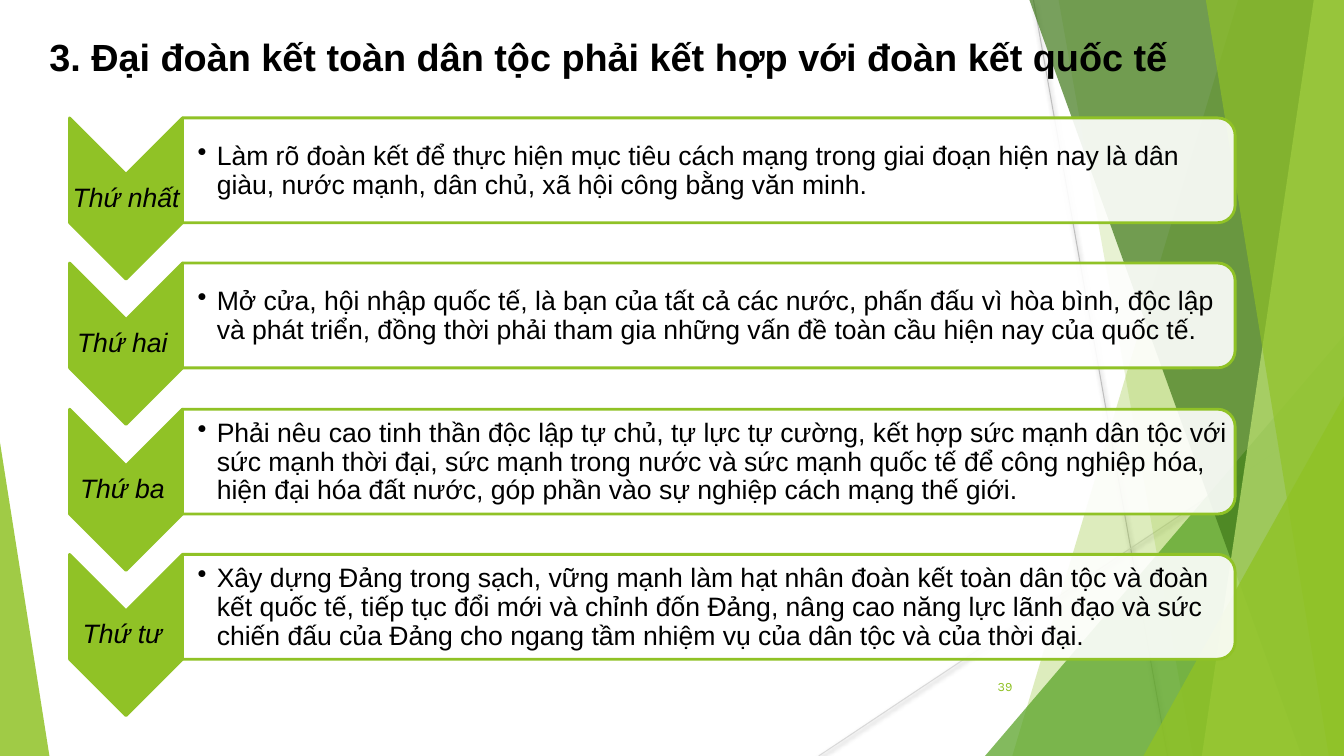
from lxml.etree import SubElement
from pptx import Presentation
from pptx.dml.color import RGBColor
from pptx.enum.shapes import MSO_CONNECTOR as Connector, MSO_SHAPE as Shape
from pptx.enum.text import MSO_ANCHOR as Anchor, PP_ALIGN as Align
from pptx.oxml.ns import qn
from pptx.util import Pt

PX = 9144
WIDTH, HEIGHT = 1333, 750
BLACK = RGBColor(0x00, 0x00, 0x00)
WHITE = RGBColor(0xFF, 0xFF, 0xFF)
LIME = RGBColor(0x90, 0xC2, 0x26)
GREEN = RGBColor(0x54, 0xA0, 0x21)
FOREST = RGBColor(0x3F, 0x78, 0x19)
PALE = RGBColor(0xC0, 0xE4, 0x74)
GRAY = RGBColor(0xBF, 0xBF, 0xBF)
SILVER = RGBColor(0xD9, 0xD9, 0xD9)

TITLE = "3. Đại đoàn kết toàn dân tộc phải kết hợp với đoàn kết quốc tế"
PAGE_NUMBER = "39"
STEPS = [
    ("Thứ nhất", "Làm rõ đoàn kết để thực hiện mục tiêu cách mạng trong giai đoạn hiện nay "
     "là dân giàu, nước mạnh, dân chủ, xã hội công bằng văn minh."),
    ("Thứ hai ", "Mở cửa, hội nhập quốc tế, là bạn của tất cả các nước, phấn đấu vì hòa bình, "
     "độc lập và phát triển, đồng thời phải tham gia những vấn đề toàn cầu hiện nay "
     "của quốc tế."),
    ("Thứ ba ", "Phải nêu cao tinh thần độc lập tự chủ, tự lực tự cường, kết hợp sức mạnh "
     "dân tộc với sức mạnh thời đại, sức mạnh trong nước và sức mạnh quốc tế để công nghiệp "
     "hóa, hiện đại hóa đất nước, góp phần vào sự nghiệp cách mạng thế giới."),
    ("Thứ tư ", "Xây dựng Đảng trong sạch, vững mạnh làm hạt nhân đoàn kết toàn dân tộc và "
     "đoàn kết quốc tế, tiếp tục đổi mới và chỉnh đốn Đảng, nâng cao năng lực lãnh đạo và sức "
     "chiến đấu của Đảng cho ngang tầm nhiệm vụ của dân tộc và của thời đại."),
]
STEPS_SPAN = 433

RAYS = [((1025, 0), (1158, 750), GRAY), ((1333, 403), (812, 750), SILVER)]
BANDS_BEHIND = [(1228, 1004, LIME, 30), (1050, 1183, LIME, 20)]
BANDS_FRONT = [(1021, 1291, FOREST, 70), (1303, 1192, PALE, 70), (1196, 1318, LIME, 65)]
WEDGE_BEHIND = (977, 333, 356, 417, 1, GREEN, 72)
WEDGES_FRONT = [(1134, 393, 199, 357, 1, LIME, 80), (0, 439, 49, 311, 0, LIME, 85)]


def scaled(*lengths):
    return [length * PX for length in lengths]


def paint(shape, color, opacity=100, outline=None):
    shape.shadow.inherit = False
    shape.fill.solid()
    shape.fill.fore_color.rgb = color
    if opacity < 100:
        tint = shape.fill._xPr.find(qn("a:solidFill"))[0]
        SubElement(tint, qn("a:alpha"), val=str(opacity * 1000))
    if outline is None:
        shape.line.fill.background()
    else:
        shape.line.color.rgb = outline
        shape.line.width = Pt(2)


def add_ray(shapes, start, end, color):
    ray = shapes.add_connector(Connector.STRAIGHT, *scaled(*start, *end))
    ray.line.color.rgb = color
    ray.line.width = Pt(0.75)
    effects = SubElement(ray._element.spPr, qn("a:effectLst"))
    shadow = SubElement(effects, qn("a:outerShdw"), blurRad="40000", dist="20000",
                        dir="5400000", rotWithShape="0")
    tint = SubElement(shadow, qn("a:srgbClr"), val="000000")
    SubElement(tint, qn("a:alpha"), val="38000")


def add_band(shapes, top_x, bottom_x, color, opacity):
    outline = shapes.build_freeform(top_x, 0, scale=PX)
    outline.add_line_segments([(WIDTH, 0), (WIDTH, HEIGHT), (bottom_x, HEIGHT)], close=True)
    paint(outline.convert_to_shape(), color, opacity)


def add_wedge(shapes, left, top, width, height, apex, color, opacity):
    wedge = shapes.add_shape(Shape.ISOSCELES_TRIANGLE, *scaled(left, top, width, height))
    wedge.adjustments[0] = apex
    paint(wedge, color, opacity)


def add_turned(shapes, preset, box, color, opacity=100):
    turned = shapes.add_shape(preset, *scaled(*box))
    turned.rotation = 90
    paint(turned, color, opacity, LIME)


def set_font(paragraph, name, size, color, bold=False, italic=False):
    font = paragraph.font
    font.name, font.size, font.color.rgb = name, Pt(size), color
    font.bold, font.italic = bold, italic


def add_words(shapes, text, box, insets):
    frame = shapes.add_textbox(*scaled(*box)).text_frame
    frame.word_wrap = True
    frame.vertical_anchor = Anchor.MIDDLE
    (frame.margin_left, frame.margin_top,
     frame.margin_right, frame.margin_bottom) = scaled(*insets)
    words = frame.paragraphs[0]
    words.text = text
    return words


def add_step(shapes, label, detail, shift):
    add_turned(shapes, Shape.CHEVRON, (45, 141 + shift, 160, 112), LIME)
    heading = add_words(shapes, label, (69, 173 + shift, 112, 48), (1, 1, 1, 1))
    heading.alignment = Align.CENTER
    heading.line_spacing = 0.9
    set_font(heading, "Arial", 19, BLACK, italic=True)

    add_turned(shapes, Shape.ROUND_2_SAME_RECTANGLE, (651, shift - 353, 104, 1044), WHITE, 90)
    body = add_words(shapes, detail, (181, 123 + shift, 1039, 94), (15, 1, 1, 1))
    body.line_spacing = 0.9
    layout = body._p.get_or_add_pPr()
    layout.set("marL", str(19 * PX))
    layout.set("indent", str(-19 * PX))
    SubElement(layout, qn("a:buChar"), char="•")
    set_font(body, "Arial", 19, BLACK)


def main():
    """Build the slide on national and international unity."""
    deck = Presentation()
    deck.slide_width, deck.slide_height = scaled(WIDTH, HEIGHT)
    slide = deck.slides.add_slide(deck.slide_layouts[5])
    shapes = slide.shapes

    for ray in RAYS:
        add_ray(shapes, *ray)
    for band in BANDS_BEHIND:
        add_band(shapes, *band)
    add_wedge(shapes, *WEDGE_BEHIND)
    for band in BANDS_FRONT:
        add_band(shapes, *band)
    for wedge in WEDGES_FRONT:
        add_wedge(shapes, *wedge)

    title = shapes.title
    title.element.getparent().append(title.element)
    title.left, title.top, title.width, title.height = scaled(39, 28, 1187, 72)
    title.text_frame.text = TITLE
    title.text_frame.vertical_anchor = Anchor.TOP
    heading = title.text_frame.paragraphs[0]
    heading.alignment = Align.LEFT
    set_font(heading, "Arial", 27, BLACK, bold=True)

    number = add_words(shapes, PAGE_NUMBER, (939, 661, 75, 40), (10, 5, 10, 5))
    number.alignment = Align.RIGHT
    set_font(number, "Karla", 9, LIME)

    for index, (label, detail) in enumerate(STEPS):
        add_step(shapes, label, detail, round(index * STEPS_SPAN / (len(STEPS) - 1)))

    deck.save("out.pptx")


if __name__ == "__main__":
    main()
